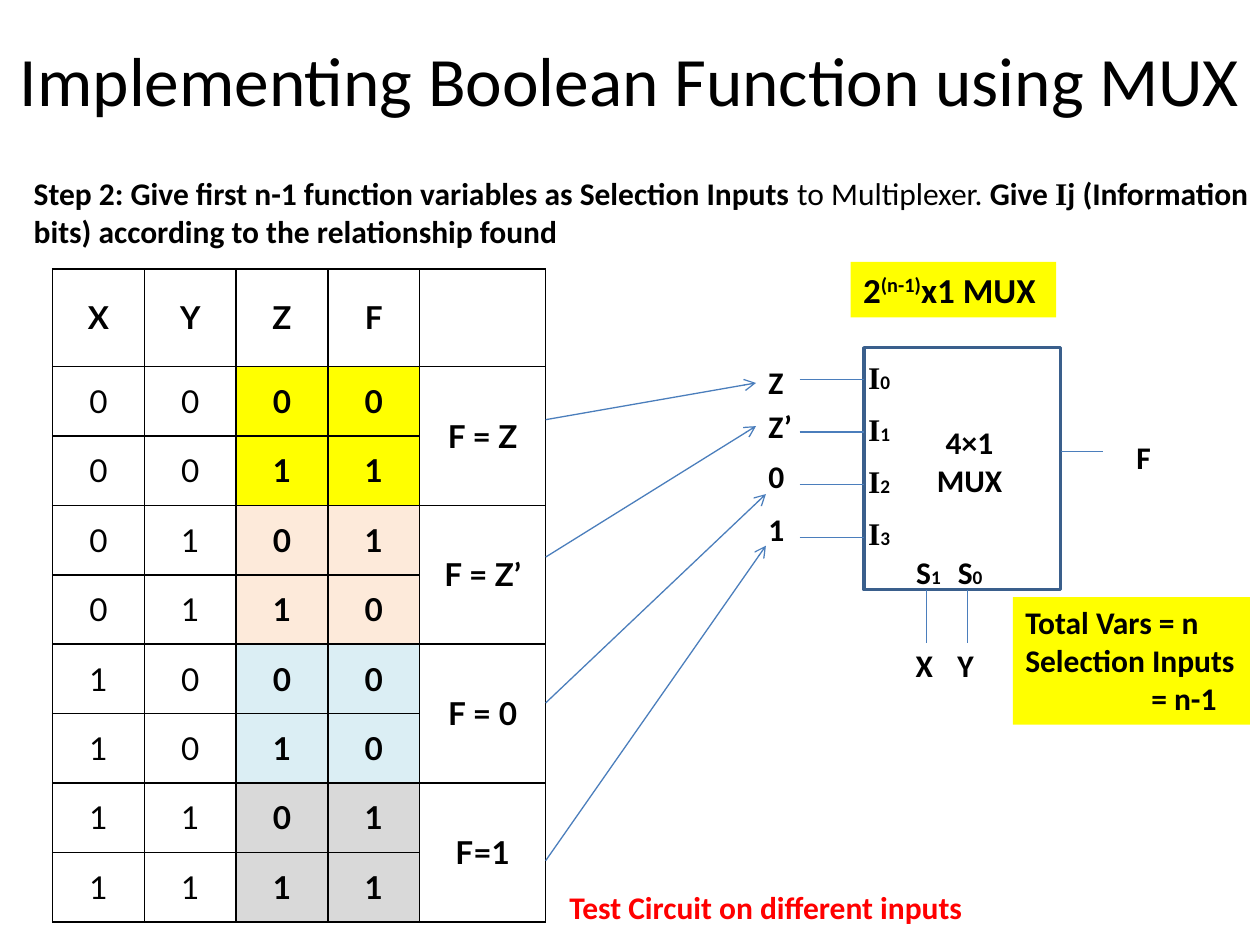
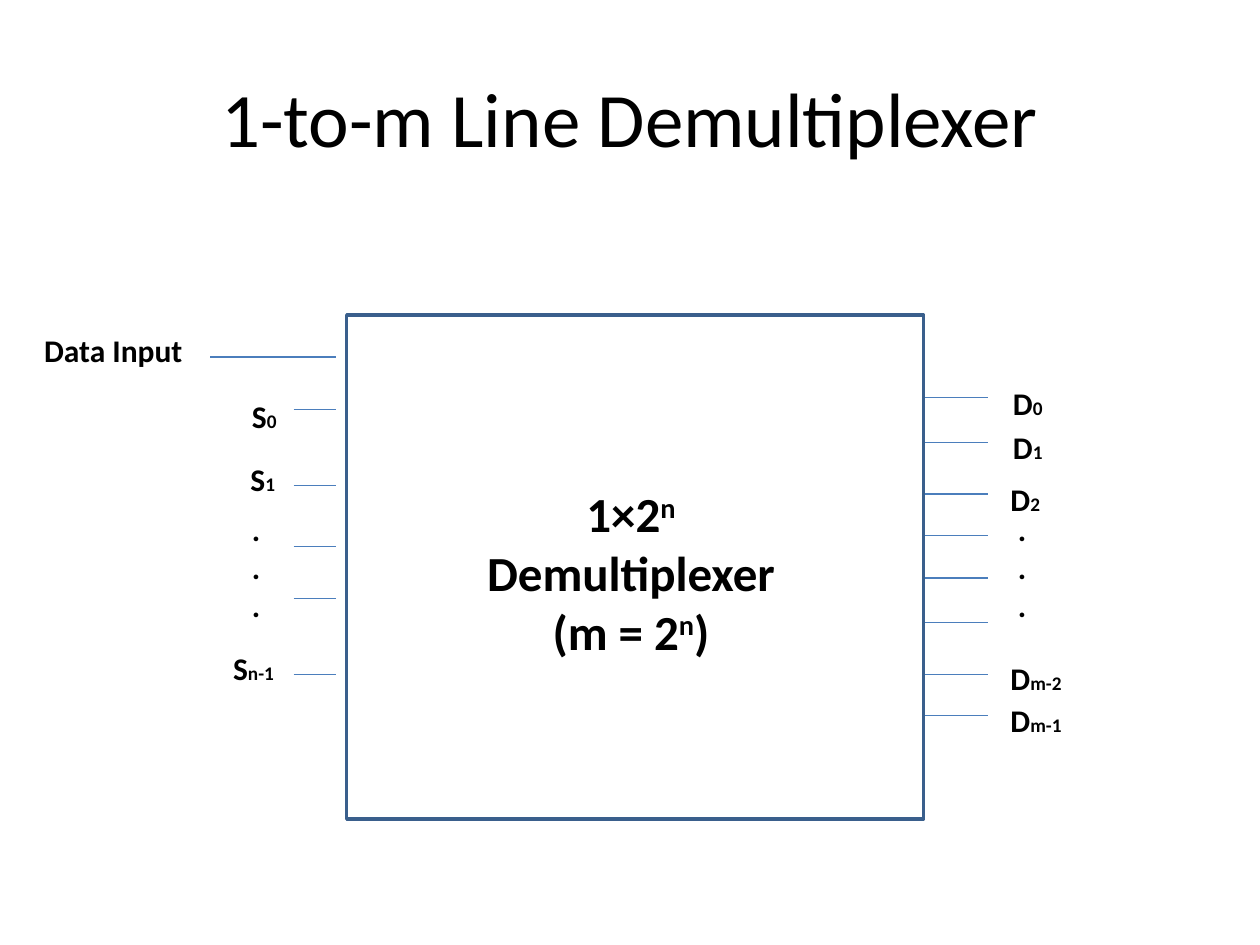
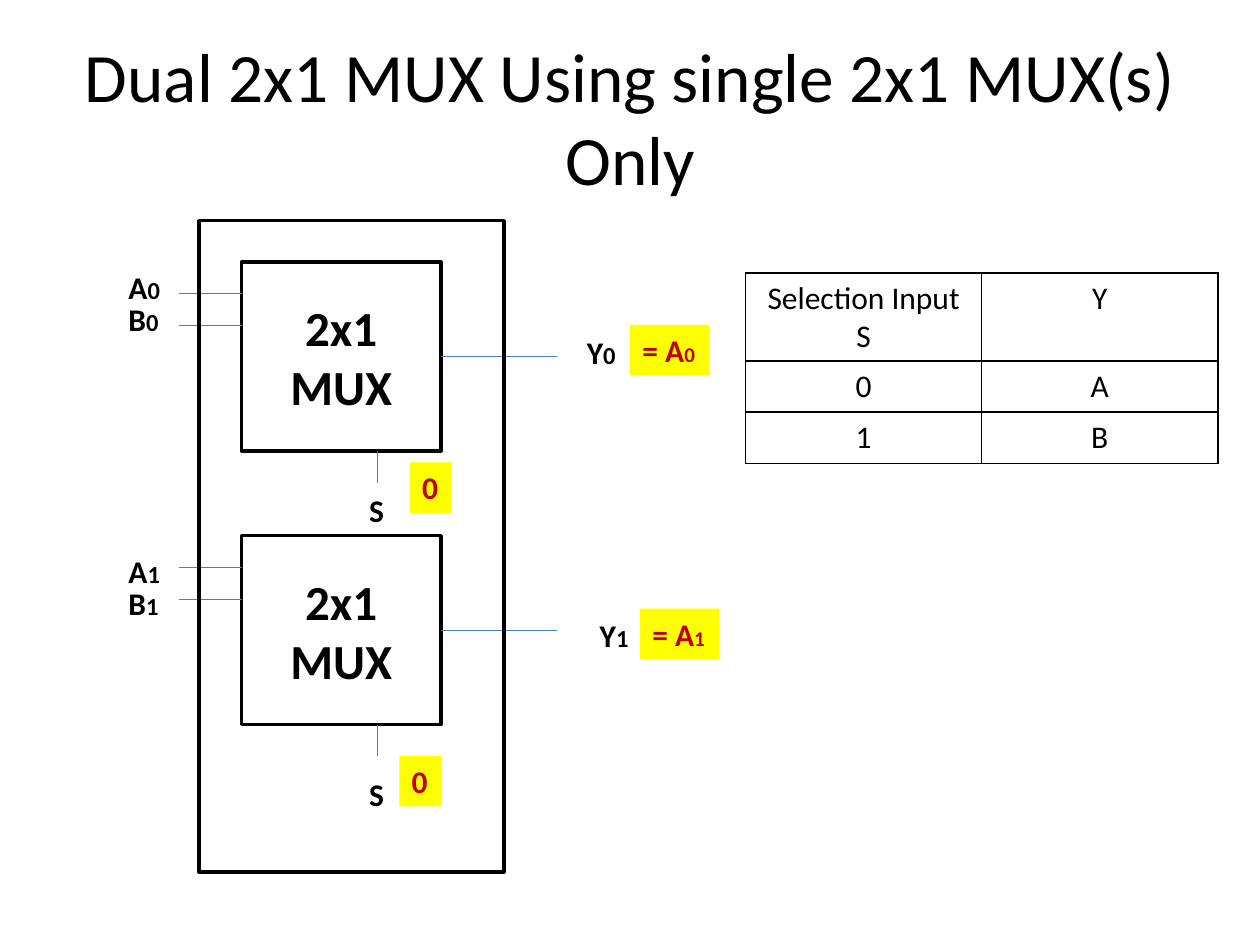
from lxml.etree import SubElement
from pptx import Presentation
from pptx.dml.color import RGBColor
from pptx.enum.shapes import MSO_CONNECTOR, MSO_SHAPE
from pptx.enum.text import MSO_ANCHOR, PP_ALIGN
from pptx.oxml.ns import qn
from pptx.util import Cm, Pt

BLACK, RED, DARK_RED, YELLOW = "000000", "FF0000", "C00000", "FFFF00"
WIRE, BLOCK_EDGE = "4B7EBC", "3A5F8C"
LINE_HEIGHT = 1.02


def rgb(code):
    return RGBColor.from_string(code)


def sub(text, size=11):
    return text, {"size": size}


def sup(text):
    return text, {"baseline": 30}


def write(frame, paragraphs, size=18, color=BLACK, bold=True, align=PP_ALIGN.LEFT,
          name="Calibri", tab=None):
    """Fill a text frame; a paragraph is a string or a list of strings and (text, style) runs."""
    for index, parts in enumerate(paragraphs):
        paragraph = frame.paragraphs[0] if index == 0 else frame.add_paragraph()
        paragraph.alignment = align
        if tab:
            stops = SubElement(paragraph._p.get_or_add_pPr(), qn("a:tabLst"))
            SubElement(stops, qn("a:tab"), pos=str(Cm(tab)), algn="l")
        font = paragraph.font
        font.name, font.size, font.bold = name, Pt(size), bold
        font.color.rgb = rgb(color)
        for part in [parts] if isinstance(parts, str) else parts:
            text, style = (part, {}) if isinstance(part, str) else part
            run = paragraph.add_run()
            run.text = text
            if "size" in style:
                run.font.size = Pt(style["size"])
            if "name" in style:
                run.font.name = style["name"]
            if "bold" in style:
                run.font.bold = style["bold"]
            if "baseline" in style:
                run._r.get_or_add_rPr().set("baseline", str(style["baseline"] * 1000))


def label(slide, left, top, width, paragraphs, height=LINE_HEIGHT, fill=None, **style):
    box = slide.shapes.add_textbox(Cm(left), Cm(top), Cm(width), Cm(height))
    box.text_frame.word_wrap = False
    if fill:
        box.fill.solid()
        box.fill.fore_color.rgb = rgb(fill)
    write(box.text_frame, paragraphs, **style)


def wire(slide, x1, y1, x2, y2, arrow=False):
    line = slide.shapes.add_connector(MSO_CONNECTOR.STRAIGHT, Cm(x1), Cm(y1), Cm(x2), Cm(y2))
    line.line.color.rgb = rgb(WIRE)
    line.line.width = Pt(0.75)
    properties = line._element.spPr
    if arrow:
        SubElement(properties.find(qn("a:ln")), qn("a:tailEnd"), type="arrow")
    SubElement(properties, qn("a:effectLst"))


def block(slide, left, top, width, height, edge=BLACK, paragraphs=()):
    box = slide.shapes.add_shape(MSO_SHAPE.RECTANGLE, Cm(left), Cm(top), Cm(width), Cm(height))
    box.shadow.inherit = False
    box.fill.background()
    box.line.color.rgb = rgb(edge)
    box.line.width = Pt(2)
    box.text_frame.vertical_anchor = MSO_ANCHOR.MIDDLE
    write(box.text_frame, paragraphs, size=28, align=PP_ALIGN.CENTER)


def titled_slide(deck, text, size, box=(1.27, 0.76, 22.86, 3.18)):
    slide = deck.slides.add_slide(deck.slide_layouts[5])
    title = slide.shapes.title
    title.left, title.top, title.width, title.height = map(Cm, box)
    title.text_frame.vertical_anchor = MSO_ANCHOR.MIDDLE
    write(title.text_frame, [text], size=size, bold=False, align=PP_ALIGN.CENTER)
    return slide


def add_grid(slide, left, top, column_widths, row_heights):
    """Add an unstyled table whose cells all have thin black borders."""
    grid = slide.shapes.add_table(
        len(row_heights), len(column_widths), Cm(left), Cm(top),
        Cm(sum(column_widths)), Cm(sum(row_heights))).table
    grid.first_row = grid.horz_banding = False
    for column, width in zip(grid.columns, column_widths):
        column.width = Cm(width)
    for row, height in zip(grid.rows, row_heights):
        row.height = Cm(height)
    for cell in grid.iter_cells():
        properties = cell._tc.get_or_add_tcPr()
        for side in ("lnL", "lnR", "lnT", "lnB"):
            border = SubElement(properties, qn(f"a:{side}"), w=str(Pt(1)))
            SubElement(SubElement(border, qn("a:solidFill")), qn("a:srgbClr"), val=BLACK)
        cell.fill.background()
    return grid


def truth_table(slide, left, top):
    grid = add_grid(slide, left, top, [1.85] * 4 + [2.54], [1.97] + [1.4] * 8)

    def put(row, column, text, bold=True):
        cell = grid.cell(row, column)
        cell.vertical_anchor = MSO_ANCHOR.MIDDLE
        write(cell.text_frame, [text], bold=bold, align=PP_ALIGN.CENTER, name="Lato")
        return cell

    for column, variable in enumerate("XYZF"):
        put(0, column, variable)
    outputs = "01100011"
    for number, output in enumerate(outputs):
        for column, bit in enumerate(f"{number:03b}{output}"):
            cell = put(number + 1, column, bit, bold=column > 1)
            if column > 1:
                cell.fill.solid()
                cell.fill.fore_color.rgb = rgb((YELLOW, "FDEADA", "DBEEF4", "D9D9D9")[number // 2])
    for pair, relation in enumerate(("F = Z", "F = Z’", "F = 0", "F=1")):
        row = 2 * pair + 1
        grid.cell(row, 4).merge(grid.cell(row + 1, 4))
        put(row, 4, relation)


def four_input_mux(slide, left, top, width, height):
    block(slide, left, top, width, height, BLOCK_EDGE)
    inputs = (("Z", 0.18, 0.81), ("Z’", 1.07, 0.99), ("0", 2.08, 0.84), ("1", 3.15, 0.84))
    for index, (signal, offset, signal_width) in enumerate(inputs):
        y = top + 0.64 + 1.06 * index
        wire(slide, left - 1.3, y, left, y)
        label(slide, left - 0.17, top + 0.08 + 1.05 * index, 0.97,
              [[("I", {"name": "Times New Roman"}), sub(str(index))]])
        label(slide, left - 2.18, top + offset, signal_width, [signal])
    label(slide, left + 1.2, top + 1.4, 1.85, ["4×1", "MUX"], height=1.8, align=PP_ALIGN.CENTER)
    wire(slide, left + width, top + 2.09, left + width + 0.85, top + 2.09)
    label(slide, left + 5.24, top + 1.7, 0.81, ["F"])
    for digit, variable, offset in (("1", "X", 1.25), ("0", "Y", 2.09)):
        x = left + offset
        wire(slide, x, top + height, x, top + height + 1.07)
        label(slide, x - 0.45, top + 4.01, 1.02, [["S", sub(digit)]])
        label(slide, x - 0.46, top + 5.89, 0.85, [variable])


def demultiplexer(slide, left, top, width, height):
    block(slide, left, top, width, height, BLOCK_EDGE)
    right = left + width
    label(slide, left + 2.54, top + 3.28, 6.38,
          [["1×2", sup("n")], "Demultiplexer", ["(m = 2", sup("n"), ")"]],
          height=3.84, size=28, align=PP_ALIGN.CENTER)
    wire(slide, left - 2.75, top + 0.85, left - 0.21, top + 0.85)
    label(slide, left - 6.35, top + 0.2, 3.33, ["Data Input"])
    for offset in (1.91, 3.43, 4.66, 5.72, 7.24):
        wire(slide, left - 1.07, top + offset, left - 0.21, top + offset)
    for offset in (1.66, 2.57, 3.61, 4.45, 5.3, 6.2, 7.24, 8.08):
        wire(slide, right + 0.02, top + offset, right + 1.29, top + offset)
    pins = (
        ("S", "0", left - 2.16, 1.52, 1.02), ("S", "1", left - 2.19, 2.79, 1.02),
        ("S", "n-1", left - 2.54, 6.6, 1.35),
        ("D", "0", right + 1.55, 1.27, 1.12), ("D", "1", right + 1.55, 2.16, 1.12),
        ("D", "2", right + 1.5, 3.2, 1.12),
        ("D", "m-2", right + 1.5, 6.81, 1.55), ("D", "m-1", right + 1.5, 7.65, 1.55),
    )
    for letter, index, x, offset, pin_width in pins:
        label(slide, x, top + offset, pin_width, [[letter, sub(index)]])
    for x in (left - 2.16, right + 1.65):
        label(slide, x, top + 3.81, 0.69, ["."] * 3, height=2.57)


def two_input_mux(slide, left, top, width, height, index, drop, output_at, answer_at, select_at):
    """Draw one 2x1 MUX; drop lowers its labels, the *_at offsets place output and answers."""
    block(slide, left, top, width, height, paragraphs=["2x1", "MUX"])
    for row, letter in enumerate("AB"):
        step = 0.64 * row
        wire(slide, left - 1.26, top + 0.64 + step, left, top + 0.64 + step)
        label(slide, left - 2.53, top + drop + step, 1.2, [[letter, sub(index, 14)]])
    wire(slide, left + width, top + 1.91, left + width + 2.33, top + 1.91)
    label(slide, left + output_at, top + 1.3 + drop, 1.12, [["Y", sub(index, 14)]])
    label(slide, left + answer_at, top + 1.27 + drop, 1.6, [["= A", sub(index, 12)]],
          fill=YELLOW, color=DARK_RED)
    wire(slide, left + 2.74, top + height, left + 2.74, top + height + 0.64)
    label(slide, left + 2.32, top + 4.5 + drop, 0.81, ["S"])
    select_x, select_y = select_at
    label(slide, left + select_x, top + select_y, 0.84, ["0"], fill=YELLOW, color=DARK_RED)


def selection_table(slide, left, top):
    grid = add_grid(slide, left, top, [4.76] * 2, [1.78, 1.03, 1.03])
    rows = ((["Selection Input", "S"], ["Y"]), (["0"], ["A"]), (["1"], ["B"]))
    for row, entries in enumerate(rows):
        for column, paragraphs in enumerate(entries):
            write(grid.cell(row, column).text_frame, paragraphs, bold=False, align=PP_ALIGN.CENTER)


def boolean_function_slide(deck):
    slide = titled_slide(deck, "Implementing Boolean Function using MUX", 39.6, (0, 0, 25.4, 3.18))
    label(slide, 0.43, 3.38, 25.55, [
        ["Step 2: Give first n-1 function variables as Selection Inputs ",
         ("to Multiplexer. ", {"bold": False}), "Give ",
         ("I", {"name": "Times New Roman"}), "j (Information"],
        "bits) according to the relationship found"], height=1.8)
    truth_table(slide, 1.06, 5.42)
    four_input_mux(slide, 17.42, 7.01, 3.96, 4.88)
    for start_y, end_x, end_y in ((8.46, 15.24, 7.72), (11.23, 15.24, 8.59),
                                  (14.17, 15.44, 9.96), (17.35, 15.44, 11)):
        wire(slide, 11, start_y, end_x, end_y, arrow=True)
    label(slide, 11.23, 17.78, 8.51, ["Test Circuit on different inputs"], color=RED)
    label(slide, 20.42, 12.04, 4.78, ["Total Vars = n", "Selection Inputs", "\t= n-1"],
          height=2.57, fill=YELLOW, tab=2.54)
    label(slide, 17.15, 5.28, 4.14, [["2", sup("(n-1)"), "x1 MUX"]],
          height=1.12, fill=YELLOW, size=20)


def demultiplexer_slide(deck):
    slide = titled_slide(deck, "1-to-m Line Demultiplexer", 44)
    demultiplexer(slide, 6.99, 6.35, 11.63, 10.16)


def dual_mux_slide(deck):
    slide = titled_slide(deck, "Dual 2x1 MUX Using single 2x1 MUX(s) Only", 39.6)
    two_input_mux(slide, 4.87, 5.28, 4.02, 3.81, "0", 0, 6.71, 7.83, (3.39, 4.04))
    two_input_mux(slide, 4.87, 10.8, 4.02, 3.81, "1", 0.2, 6.97, 8.03, (3.18, 4.44))
    block(slide, 4.01, 4.45, 6.15, 13.13)
    selection_table(slide, 15.03, 5.5)


def main():
    deck = Presentation()
    deck.slide_width, deck.slide_height = Cm(25.4), Cm(19.05)
    boolean_function_slide(deck)
    demultiplexer_slide(deck)
    dual_mux_slide(deck)
    deck.save("out.pptx")


if __name__ == "__main__":
    main()
